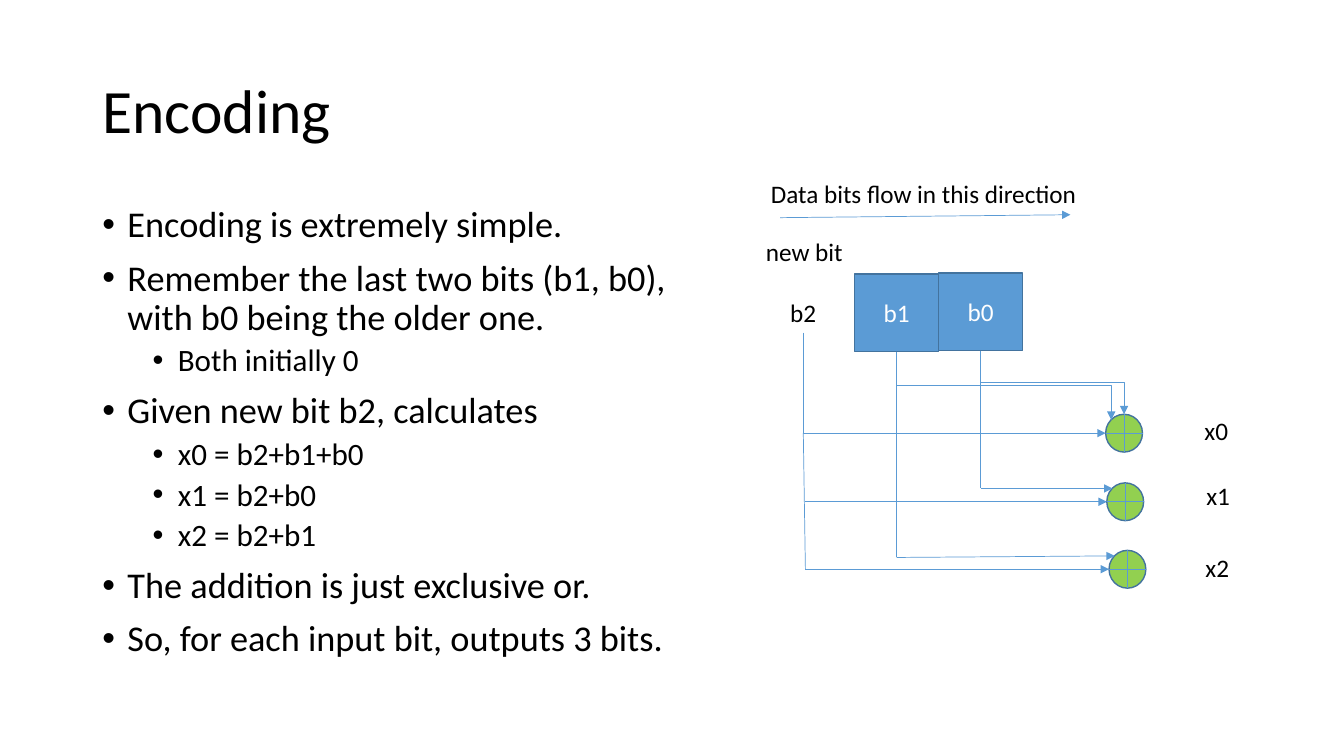
from lxml import etree
from pptx import Presentation
from pptx import util as u
from pptx.dml.color import RGBColor
from pptx.enum import shapes, text
from pptx.oxml.ns import qn

TITLE = "Encoding"
BULLETS = [
    (0, "Encoding is extremely simple."),
    (0, "Remember the last two bits (b1, b0), with b0 being the older one."),
    (1, "Both initially 0"),
    (0, "Given new bit b2, calculates"),
    (1, "x0 = b2+b1+b0"),
    (1, "x1 = b2+b0"),
    (1, "x2 = b2+b1"),
    (0, "The addition is just exclusive or."),
    (0, "So, for each input bit, outputs 3 bits."),
]
LEVELS = [(25.9, 18, 10), (22.2, 54, 5)]
LABELS = [
    ("Data bits flow in this direction", 543.6, 123.9, 235.4),
    ("new bit", 540, 164.9, 69.8),
    ("b2", 557.3, 208.8, 33.1),
    ("x0", 853.2, 293, 31.7),
    ("x1", 854.6, 339.8, 31.7),
    ("x2", 853.9, 391, 31.7),
]
REGISTERS = [("b1", 610.5, 195.8), ("b0", 670.4, 195.1)]
REGISTER_W, REGISTER_H = 60, 55.4
ADDERS = [(789.8, 295.9), (790.6, 344.9), (792.2, 393.1)]
ADDER_W, ADDER_H = 26.3, 27
BLACK, WHITE, BLUE, EDGE, GREEN = "000000", "FFFFFF", "5B9BD5", "43739E", "92D050"


def colour(value):
    return RGBColor.from_string(value)


def style(para, size, value):
    for span in para.runs:
        span.font.name = "Calibri"
        span.font.size = u.Pt(size)
        span.font.color.rgb = colour(value)


def add_text(left, top, width, height, words, size, wrap=False):
    box = page.shapes.add_textbox(u.Pt(left), u.Pt(top), u.Pt(width), u.Pt(height))
    box.text_frame.text = words
    box.text_frame.word_wrap = wrap
    style(box.text_frame.paragraphs[0], size, BLACK)
    return box.text_frame


def add_solid(kind, left, top, width, height, fill):
    shape = page.shapes.add_shape(kind, u.Pt(left), u.Pt(top), u.Pt(width), u.Pt(height))
    shape.shadow.inherit = False
    shape.fill.solid()
    shape.fill.fore_color.rgb = colour(fill)
    shape.line.color.rgb = colour(EDGE)
    shape.line.width = u.Pt(1)
    return shape


def add_wire(x1, y1, x2, y2, arrow=False, kind=shapes.MSO_CONNECTOR.STRAIGHT):
    wire = page.shapes.add_connector(kind, u.Pt(x1), u.Pt(y1), u.Pt(x2), u.Pt(y2))
    wire.line.color.rgb = colour(BLUE)
    wire.line.width = u.Pt(0.5)
    if arrow:
        etree.SubElement(wire.line._get_or_add_ln(), qn("a:tailEnd"), type="triangle")
    etree.SubElement(wire._element.spPr, qn("a:effectLst"))
    return wire


def add_bent_wire(x1, y1, x2, y2, preset):
    wire = add_wire(x1, y1, x2, y2, True, shapes.MSO_CONNECTOR.ELBOW)
    across, down = x2 - x1, y2 - y1
    wire.left = u.Pt((x1 + x2 - down) / 2)
    wire.top = u.Pt((y1 + y2 - across) / 2)
    wire.width, wire.height = u.Pt(down), u.Pt(across)
    frame = wire._element.spPr.find(qn("a:xfrm"))
    frame.set("rot", "16200000")
    frame.set("flipH", "1")
    wire._element.spPr.find(qn("a:prstGeom")).set("prst", preset)


deck = Presentation()
deck.slide_width, deck.slide_height = u.Pt(960), u.Pt(540)
page = deck.slides.add_slide(deck.slide_layouts[6])

title = add_text(66, 28.8, 828, 104.4, TITLE, 44, True)
title.vertical_anchor = text.MSO_ANCHOR.MIDDLE
title.paragraphs[0].line_spacing = 0.9

body = add_text(66, 144, 437, 342.7, "\n".join(words for _, words in BULLETS), 18, True)
for para, (level, _) in zip(body.paragraphs, BULLETS):
    size, indent, gap = LEVELS[level]
    para.level = level
    para.line_spacing = 0.9
    para.space_before = u.Pt(gap)
    style(para, size, BLACK)
    props = para._p.get_or_add_pPr()
    props.set("marL", str(u.Pt(indent)))
    props.set("indent", str(-u.Pt(18)))
    etree.SubElement(props, qn("a:buFont"), typeface="Arial")
    etree.SubElement(props, qn("a:buChar"), char="•")

for words, left, top, width in LABELS:
    add_text(left, top, width, 29, words, 18)

registers = {}
for name, left, top in REGISTERS:
    box = add_solid(shapes.MSO_SHAPE.RECTANGLE, left, top, REGISTER_W, REGISTER_H, BLUE)
    box.text_frame.text = name
    box.text_frame.vertical_anchor = text.MSO_ANCHOR.MIDDLE
    para = box.text_frame.paragraphs[0]
    para.alignment = text.PP_ALIGN.CENTER
    style(para, 18, WHITE)
    registers[name] = box

for left, top in ADDERS:
    middle_x, middle_y = left + ADDER_W / 2, top + ADDER_H / 2
    add_solid(shapes.MSO_SHAPE.OVAL, left, top, ADDER_W, ADDER_H, GREEN)
    add_wire(left, middle_y, left + ADDER_W, middle_y)
    add_wire(middle_x, top, middle_x, top + ADDER_H)

b1_x, b0_x = (left + REGISTER_W / 2 for _, left, _ in REGISTERS)
b1_y, b0_y = (top + REGISTER_H for _, _, top in REGISTERS)
b2_x, b2_low_x, b2_y = 573.8, 575.3, 237.6
(x0_left, x0_top), (x1_left, x1_top), (x2_left, x2_top) = ADDERS
x0_y, x1_y, x2_y = (top + ADDER_H / 2 for _, top in ADDERS)
corner = 4

add_wire(557.3, 155.5, 764.6, 153.4, True)
add_bent_wire(b0_x, b0_y, x0_left + ADDER_W / 2, x0_top, "bentConnector3")
add_bent_wire(b1_x, b1_y, x0_left + corner, x0_top + corner, "bentConnector3")
add_bent_wire(b2_x, b2_y, x0_left, x0_y, "bentConnector2")
add_wire(b1_x, 273.6, b1_x, 398.2)
add_wire(b1_x, 398.2, x2_left + corner, x2_top + corner, True)
b0_drop = add_wire(b0_x, b0_y, b0_x, x1_top + corner)
b0_drop.begin_connect(registers["b0"], 2)
add_wire(b0_x, x1_top + corner, x1_left + corner, x1_top + corner, True)
add_wire(b2_x, x0_y, b2_low_x, x2_y)
add_wire(b2_low_x, x1_y, x1_left, x1_y, True)
add_wire(b2_low_x, x2_y, x2_left, x2_y, True)

deck.save("out.pptx")
